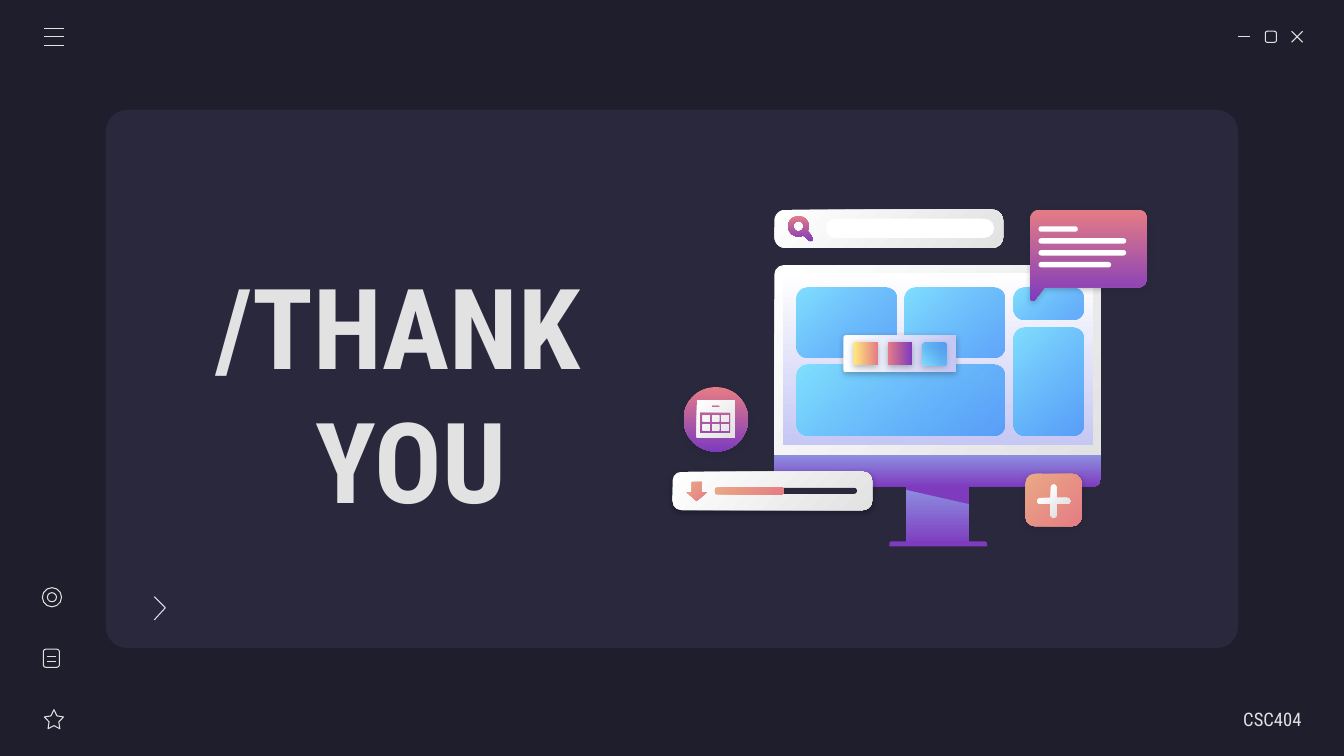
from math import cos, radians, sin

from lxml.etree import SubElement
from pptx import Presentation
from pptx.dml.color import RGBColor
from pptx.enum.shapes import MSO_CONNECTOR, MSO_SHAPE
from pptx.enum.text import MSO_ANCHOR, MSO_AUTO_SIZE, PP_ALIGN
from pptx.oxml.ns import qn
from pptx.util import Emu, Pt

# The slide is a grid of 1333 columns by 750 rows
COLS, ROWS, CELL = 1333, 750, 9144
FONT = "Roboto Condensed"
COLORS = dict(bg="1E1E2C", panel="29283D", light="E2E2E2", white="FFFFFF", black="000000",
              lilac="C5C7F4", periwinkle="8D90E1", purple="7E3BBE", sky="80DFFF", blue="318FFA",
              coral="E57C85", peach="E9A984", yellow="FFEA7D")
# Gradients: first colour, last colour, clockwise angle
SILVER = ("white", "light", 45)
SCREEN = ("white", "lilac", 90)
VIOLET = ("periwinkle", "purple", 90)
SUNSET = ("coral", "purple", 90)
PEACH = ("peach", "coral", 45)
SKY = ("sky", "blue", 45)


def rgb(name):
    return RGBColor.from_string(COLORS[name])


def grid(*values):
    return [Emu(round(v * CELL)) for v in values]


# Drawing helpers
def style(sp, fill=None, line=None, shadow=None):
    if fill is None:
        sp.fill.background()
    elif isinstance(fill, str):
        sp.fill.solid()
        sp.fill.fore_color.rgb = rgb(fill)
    else:
        sp.fill.gradient()
        sp.fill.gradient_angle = (360 - fill[2]) % 360
        for stop, name in zip(sp.fill.gradient_stops, fill):
            stop.color.rgb = rgb(name)
        if fill[1] == "blue":
            last = list(sp.element.spPr.iter(qn("a:srgbClr")))[-1]
            SubElement(last, qn("a:alpha"), val="72000")
    if line:
        sp.line.color.rgb = rgb(line)
        sp.line.width = Pt(0.75)
    else:
        sp.line.fill.background()
    sp.shadow.inherit = False
    if shadow:
        effects = sp.element.spPr.find(qn("a:effectLst"))
        outer = SubElement(effects, qn("a:outerShdw"), blurRad=str(Pt(4.5)), dist=str(Pt(1.5)),
                           dir="5400000", algn="t", rotWithShape="0")
        color = SubElement(outer, qn("a:srgbClr"), val=COLORS[shadow])
        SubElement(color, qn("a:alpha"), val="30000")


def preset(s, kind, x, y, w, h, adj=(), **look):
    sp = s.shapes.add_shape(kind, *grid(x, y, w, h))
    for i, value in enumerate(adj):
        sp.adjustments[i] = value
    style(sp, **look)


def rounded(s, x, y, w, h, radius, **look):
    preset(s, MSO_SHAPE.ROUNDED_RECTANGLE, x, y, w, h, [radius / min(w, h)], **look)


def outline(s, x, y, contours, close=True, **look):
    contours = [[grid(x + px, y + py) for px, py in c] for c in contours]
    builder = s.shapes.build_freeform(*contours[0][0], scale=1)
    for i, points in enumerate(contours):
        if i:
            builder.move_to(*points[0])
        builder.add_line_segments(points[1:], close=close)
    style(builder.convert_to_shape(), **look)


def line(s, x1, y1, x2, y2):
    c = s.shapes.add_connector(MSO_CONNECTOR.STRAIGHT, *grid(x1, y1, x2, y2))
    c.line.color.rgb = rgb("light")
    c.line.width = Pt(0.75)
    SubElement(c.element.spPr, qn("a:effectLst"))


def arc(cx, cy, r, start, end, steps=24):
    angles = [radians(start + (end - start) * i / steps) for i in range(steps + 1)]
    return [(cx + r * cos(a), cy + r * sin(a)) for a in angles]


def rect(x, y, w, h):
    return [(x, y), (x + w, y), (x + w, y + h), (x, y + h)]


def write(sp, text, size, align, insets, bold=False):
    tf = sp.text_frame
    tf.text = text
    tf.word_wrap = True
    tf.auto_size = MSO_AUTO_SIZE.NONE
    tf.vertical_anchor = MSO_ANCHOR.MIDDLE
    tf.margin_left, tf.margin_top, tf.margin_right, tf.margin_bottom = grid(*insets)
    p = tf.paragraphs[0]
    p.alignment, p.line_spacing = align, 1.0
    for r in p.runs:
        r.font.name, r.font.size, r.font.bold = FONT, Pt(size), bold
        r.font.color.rgb = rgb("light")


# Window buttons and menu
def top_bar(s, x, y, w):
    for row in range(3):
        line(s, x, y + 8.5 * row, x + 19, y + 8.5 * row)
    right = x + w
    line(s, right - 64, y + 8, right - 52, y + 8)
    rounded(s, right - 37, y + 3, 11, 11, 1.9, line="light")
    line(s, right - 11, y + 3, right, y + 14)
    line(s, right, y + 3, right - 11, y + 14)


# Target, note and star
def side_icons(s, x, y):
    for inset in (0, 5):
        preset(s, MSO_SHAPE.OVAL, x + inset, y + inset, 19 - 2 * inset, 19 - 2 * inset, line="light")
    rounded(s, x + 1, y + 61, 16, 18, 2.7, line="light")
    for row in (68, 73):
        line(s, x + 5, y + row, x + 14, y + row)
    preset(s, MSO_SHAPE.STAR_5_POINT, x + 2, y + 121, 19, 19, [0.254], line="light")


def monitor(s, x, y):
    top, flat = MSO_SHAPE.ROUND_2_SAME_RECTANGLE, MSO_SHAPE.RECTANGLE
    preset(s, top, x, y, 324, 188, [0.05, 0], fill=SILVER)
    preset(s, top, x, y + 188, 324, 32, [0, 0.27], fill=VIOLET)
    preset(s, flat, x + 9, y + 8, 307, 171, fill=SCREEN)
    # Stand
    preset(s, flat, x + 131, y + 220, 62, 58, fill=VIOLET)
    preset(s, top, x + 114, y + 274, 97, 5, [0.5, 0], fill="purple")
    outline(s, x + 131, y + 219, [[(0, 0), (0, 4), (62, 18), (62, 0)]], fill="purple")
    # Page tiles
    tiles = [(0, 0, 99, 70), (0, 77, 206, 70), (107, 0, 99, 70), (215, 0, 70, 32), (215, 40, 70, 107)]
    for tx, ty, w, h in tiles:
        rounded(s, x + 22 + tx, y + 22 + ty, w, h, 10, fill=SKY)


def speech_bubble(s, x, y, w=116, h=77, r=9):
    edge = arc(r, r, r, 180, 270) + arc(w - r, r, r, 270, 360) + arc(w - r, h - r, r, 0, 90)
    tail = [(14, h), (4, h + 13), (2, h + 14), (0, h + 12)]
    outline(s, x, y, [edge + tail], fill=SUNSET, shadow="bg")
    for row, length in enumerate((39, 87, 87, 72)):
        rounded(s, x + 8, y + 16.5 + 11.8 * row, length, 5.4, 2.7, fill="white")


def download_bar(s, x, y):
    rounded(s, x, y, 198, 38, 9, fill=SILVER, shadow="black")
    rounded(s, x + 42, y + 16, 141, 6, 3, fill="panel")
    rounded(s, x + 42, y + 15.5, 68, 7, 2, fill=PEACH)
    preset(s, MSO_SHAPE.DOWN_ARROW, x + 14, y + 10, 20, 19, [0.5, 0.45], fill=PEACH)


def plus_button(s, x, y):
    rounded(s, x, y, 56, 52, 9.5, fill=PEACH, shadow="bg")
    for w, h in ((33, 6), (6, 33)):
        rounded(s, x + 28 - w / 2, y + 27 - h / 2, w, h, 3, fill=SILVER)


def palette(s, x, y):
    rounded(s, x, y, 112, 37, 2.7, fill=("white", "lilac", 0), shadow="bg")
    swatches = [("yellow", "coral", 0), ("coral", "purple", 0), ("sky", "blue", 315)]
    for i, fill in enumerate(swatches):
        rounded(s, x + 10 + 34 * i, y + 7, 24, 23, 1.7, fill=fill, shadow="bg")


def search_bar(s, x, y):
    rounded(s, x, y, 227, 38, 11, fill=SILVER)
    lens = arc(24, 16.5, 10.3, 62, 388)
    handle = arc(36, 29, 2.6, -45, 135)
    outline(s, x, y, [lens + handle, arc(24, 16.5, 5, 0, 360)], fill=SUNSET)
    rounded(s, x + 51, y + 9, 167, 19, 9.5, fill="white")


def calendar(s, x, y):
    preset(s, MSO_SHAPE.OVAL, x, y, 64, 64, fill=SUNSET, shadow="bg")
    days = [rect(6 + 9.3 * col, 15 + 9 * row, 7, 6) for row in range(2) for col in range(3)]
    outline(s, x + 13, y + 13, [rect(0, 0, 38, 37), rect(15, 5, 8, 2), rect(3, 12, 31, 21)] + days,
            fill=SILVER)


def illustration(s, x, y):
    monitor(s, x + 101, y + 55)
    speech_bubble(s, x + 355, y)
    download_bar(s, x, y + 260)
    plus_button(s, x + 350, y + 262)
    palette(s, x + 169.5, y + 124.5)
    search_bar(s, x + 101, y)
    calendar(s, x + 11, y + 176)


# Central card with the title
def card(s, x, y, w, h):
    rounded(s, x, y, w, h, 0.04 * h, fill="panel")
    title = s.shapes.title
    title.left, title.top, title.width, title.height = grid(x - 10, y + 217, 625, 125)
    write(title, "/THANK \vYOU", 80, PP_ALIGN.CENTER, (13, 13, 13, 13), bold=True)
    title.element.getparent().append(title.element)
    outline(s, x + 48, y + 483, [[(0, 0), (11, 11), (0, 23)]], close=False, line="light")
    illustration(s, x + 562, y + 99)


def course_code(s, x, y, w, h):
    box = s.shapes.add_textbox(*grid(x, y, w, h))
    write(box, "CSC404", 13.3, PP_ALIGN.RIGHT, (13, 13, 0, 13))


def main():
    prs = Presentation()
    prs.slide_width, prs.slide_height = grid(COLS, ROWS)
    s = prs.slides.add_slide(prs.slide_layouts[5])
    s.background.fill.solid()
    s.background.fill.fore_color.rgb = rgb("bg")
    card(s, 105, 109, 1123, 534)
    top_bar(s, 44, 28, COLS - 85)
    side_icons(s, 42, 583)
    course_code(s, 1136, 693, 155, 41)
    prs.save("out.pptx")


if __name__ == "__main__":
    main()
